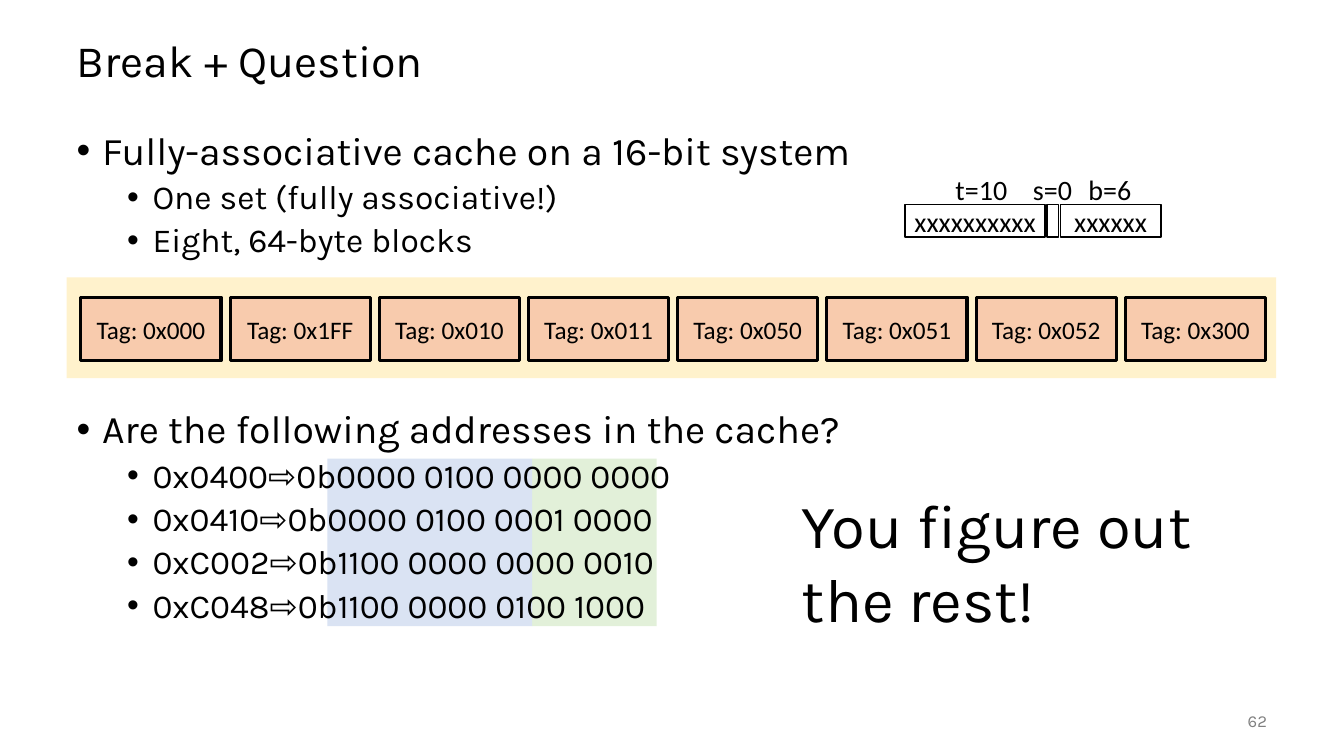
from collections import namedtuple
from dataclasses import dataclass

from lxml.etree import SubElement
from pptx import Presentation
from pptx.dml.color import RGBColor
from pptx.enum.shapes import MSO_SHAPE
from pptx.enum.text import MSO_ANCHOR, MSO_AUTO_SIZE, PP_ALIGN
from pptx.oxml.ns import qn
from pptx.util import Cm, Pt

Box = namedtuple("Box", "left top width height")


@dataclass(frozen=True)
class Theme:
    text_font: str = "Karla"
    diagram_font: str = "Calibri"
    black: str = "000000"
    gray: str = "808080"
    white: str = "FFFFFF"
    cache: str = "FFF2CC"
    block: str = "F8CBAD"
    tag_bits: str = "DAE3F3"
    offset_bits: str = "E2F0D9"
    title: int = 32
    question: int = 28
    detail: int = 24
    callout: int = 44
    field: int = 20
    tag: int = 18
    number: int = 12


THEME = Theme()


def apply_format(target, formats):
    for name, value in formats.items():
        setattr(target, name, value)


def place(shape, box):
    apply_format(shape, {name: Cm(value) for name, value in box._asdict().items()})


def format_font(paragraph, size, font, color=THEME.black):
    apply_format(paragraph.font, {"size": Pt(size), "name": font})
    paragraph.font.color.rgb = RGBColor.from_string(color)


def write(shape, text, size, font, color=THEME.black, align=PP_ALIGN.LEFT, **frame):
    apply_format(shape.text_frame, {"word_wrap": True, **frame})
    shape.text_frame.text = text
    paragraph = shape.text_frame.paragraphs[0]
    paragraph.alignment = align
    format_font(paragraph, size, font, color)
    return paragraph


def add_rectangle(slide, box, fill, line_width=0):
    shape = slide.shapes.add_shape(MSO_SHAPE.RECTANGLE, *map(Cm, box))
    shape.shadow.inherit = False
    shape.fill.solid()
    shape.fill.fore_color.rgb = RGBColor.from_string(fill)
    if line_width:
        shape.line.width = Pt(line_width)
        shape.line.color.rgb = RGBColor.from_string(THEME.black)
    else:
        shape.line.fill.background()
    return shape


def add_text(slide, box, text, size, font, **formats):
    shape = slide.shapes.add_textbox(*map(Cm, box))
    write(shape, text, size, font, **formats)


def add_bullet(paragraph, level):
    properties = paragraph._p.get_or_add_pPr()
    properties.set("marL", str(Cm(0.64 + 1.27 * level)))
    properties.set("indent", str(-Cm(0.64)))
    SubElement(properties, qn("a:buFont")).set("typeface", "Arial")
    SubElement(properties, qn("a:buChar")).set("char", "•")


def fill_title(slide, box, text):
    title = slide.shapes.title
    place(title, box)
    paragraph = write(title, text, THEME.title, THEME.text_font,
                      vertical_anchor=MSO_ANCHOR.MIDDLE, auto_size=MSO_AUTO_SIZE.NONE)
    paragraph.line_spacing = 0.9


def fill_body(slide, box, items):
    body = slide.placeholders[1]
    place(body, box)
    frame = body.text_frame
    apply_format(frame, {"word_wrap": True, "auto_size": MSO_AUTO_SIZE.NONE,
                         "vertical_anchor": MSO_ANCHOR.TOP})
    for index, (text, level, space) in enumerate(items):
        paragraph = frame.add_paragraph() if index else frame.paragraphs[0]
        paragraph.text = text
        add_bullet(paragraph, level)
        apply_format(paragraph, {"level": level, "line_spacing": 0.9,
                                 "space_before": Pt(space)})
        format_font(paragraph, THEME.detail if level else THEME.question, THEME.text_font)


def add_highlights(slide, box):
    tag_width = 5.16
    parts = [
        (box._replace(width=tag_width), THEME.tag_bits),
        (box._replace(left=box.left + tag_width, width=box.width - tag_width), THEME.offset_bits),
    ]
    for part, color in parts:
        shape = add_rectangle(slide, part, color)
        slide.shapes._spTree.insert(2, shape._element)


def add_cache(slide, box, tags):
    add_rectangle(slide, box, THEME.cache)
    for index, tag in enumerate(tags):
        block_box = Box(box.left + 0.36 + 3.76 * index, box.top + 0.5, 3.53, 1.6)
        block = add_rectangle(slide, block_box, THEME.block, 2.25)
        write(block, f"Tag: {tag}", THEME.tag, THEME.diagram_font,
              align=PP_ALIGN.CENTER, vertical_anchor=MSO_ANCHOR.MIDDLE)


def add_address_fields(slide, box):
    fields = [
        ("t=10", 1.02, 1.83, "x" * 10, 0, 3.53),
        ("s=0", 2.97, 1.5, "", 3.58, 0.28),
        ("b=6", 4.37, 1.6, "x" * 6, 3.91, 2.54),
    ]
    for label, label_offset, label_width, bits, offset, width in fields:
        add_text(slide, Box(box.left + label_offset, box.top, label_width, 1.09), label,
                 THEME.field, THEME.diagram_font, word_wrap=False,
                 auto_size=MSO_AUTO_SIZE.SHAPE_TO_FIT_TEXT)
        field_box = Box(box.left + offset, box.top + 0.94, width, box.height - 0.94)
        field = add_rectangle(slide, field_box, THEME.white, 1)
        if bits:
            write(field, bits, THEME.field, THEME.diagram_font, align=PP_ALIGN.CENTER,
                  word_wrap=False, vertical_anchor=MSO_ANCHOR.MIDDLE)


def build_question_slide(presentation):
    slide = presentation.slides.add_slide(presentation.slide_layouts[1])
    fill_title(slide, Box(1.68, 0.64, 30.48, 1.9), "Break + Question")
    fill_body(slide, Box(1.68, 3.18, 30.48, 13.97), [
        ("Fully-associative cache on a 16-bit system", 0, 0),
        ("One set (fully associative!)", 1, 5),
        ("Eight, 64-byte blocks", 1, 5),
        ("Are the following addresses in the cache?", 0, 107),
        ("0x0400⇨0b0000 0100 0000 0000", 1, 5),
        ("0x0410⇨0b0000 0100 0001 0000", 1, 5),
        ("0xC002⇨0b1100 0000 0000 0010", 1, 5),
        ("0xC048⇨0b1100 0000 0100 1000", 1, 5),
    ])
    add_highlights(slide, Box(8.25, 11.56, 8.3, 4.22))
    add_text(slide, Box(29.64, 17.65, 2.54, 1.02), "62", THEME.number, THEME.text_font,
             color=THEME.gray, align=PP_ALIGN.RIGHT, vertical_anchor=MSO_ANCHOR.MIDDLE)
    add_cache(slide, Box(1.68, 6.99, 30.48, 2.54),
              ["0x000", "0x1FF", "0x010", "0x011", "0x050", "0x051", "0x052", "0x300"])
    add_address_fields(slide, Box(22.81, 4.22, 6.45, 1.75))
    add_text(slide, Box(19.96, 12.14, 10.46, 4.01), "You figure out the rest!",
             THEME.callout, THEME.text_font, auto_size=MSO_AUTO_SIZE.SHAPE_TO_FIT_TEXT)


def main():
    presentation = Presentation()
    apply_format(presentation, {"slide_width": Cm(33.87), "slide_height": Cm(19.05)})
    build_question_slide(presentation)
    presentation.save("out.pptx")


if __name__ == "__main__":
    main()
